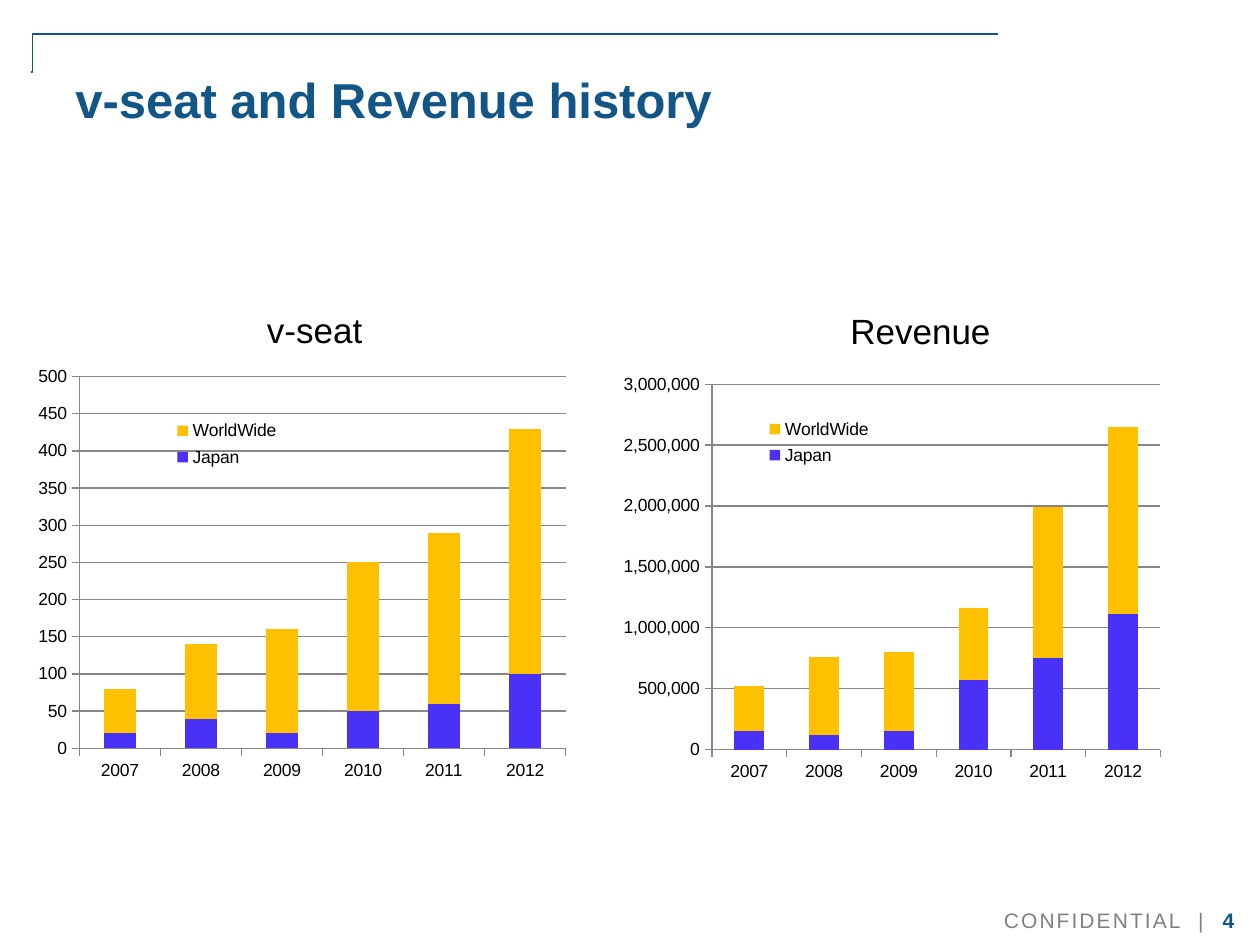
from lxml.etree import SubElement
from pptx import Presentation
from pptx.chart.data import CategoryChartData
from pptx.dml.color import RGBColor
from pptx.enum.chart import XL_CHART_TYPE, XL_LEGEND_POSITION, XL_TICK_MARK
from pptx.enum.shapes import MSO_CONNECTOR
from pptx.enum.text import MSO_ANCHOR, PP_ALIGN
from pptx.oxml import parse_xml
from pptx.oxml.ns import nsdecls, qn
from pptx.util import Inches, Pt

COLORS = {
    "brand": "125687",
    "muted": "808080",
    "text": "000000",
    "axis": "878787",
    "Japan": "4931F7",
    "WorldWide": "FFC000",
}
YEARS = ["2007", "2008", "2009", "2010", "2011", "2012"]


def color(name):
    return RGBColor.from_string(COLORS[name])


class SlideBuilder:
    """Holds the shared style and the slide being filled."""

    font_name = "Arial"

    def __init__(self, page):
        self.page = page

    def style_font(self, font, size, color_name, bold=False):
        font.name = self.font_name
        font.size = Pt(size)
        font.bold = bold
        font.color.rgb = color(color_name)

    def style_line(self, line, width=0.75, color_name="axis"):
        line.color.rgb = color(color_name)
        line.width = Pt(width)

    def text(self, area, spans, size, color_name, bold=False, wrap=True,
             align=PP_ALIGN.LEFT, anchor=MSO_ANCHOR.TOP):
        """Add one paragraph; spans are (text, letter spacing in points)."""
        box = self.page.shapes.add_textbox(*map(Inches, area))
        frame = box.text_frame
        frame.word_wrap = wrap
        frame.vertical_anchor = anchor
        paragraph = frame.paragraphs[0]
        paragraph.alignment = align
        self.style_font(paragraph.font, size, color_name, bold)
        for content, spacing in spans:
            span = paragraph.add_run()
            span.text = content
            if spacing:
                span.font._element.set("spc", str(round(spacing * 100)))

    def corner_line(self, start, end, bend):
        """Add an elbow whose bend is a share of its width in 1/100000."""
        line = self.page.shapes.add_connector(
            MSO_CONNECTOR.ELBOW, *map(Inches, start + end))
        self.style_line(line.line, 1, "brand")
        properties = line._element.spPr
        guides = properties.find(qn("a:prstGeom")).get_or_add_avLst()
        SubElement(guides, qn("a:gd"), name="adj1", fmla=f"val {bend}")
        SubElement(properties, qn("a:effectLst"))

    def layout(self, parent, frame, area, inner=False):
        """Place a chart part at an area given in slide inches."""
        left, top, width, height = frame
        shares = {
            "x": (area[0] - left) / width,
            "y": (area[1] - top) / height,
            "w": area[2] / width,
            "h": area[3] / height,
        }
        target = '<c:layoutTarget val="inner"/>' if inner else ""
        modes = "".join(f'<c:{axis}Mode val="edge"/>' for axis in "xy")
        values = "".join(f'<c:{key} val="{share:.4f}"/>' for key, share in shares.items())
        for old in parent.findall(qn("c:layout")):
            parent.remove(old)
        element = parse_xml(
            f'<c:layout {nsdecls("c")}><c:manualLayout>{target}{modes}{values}'
            "</c:manualLayout></c:layout>")
        if inner:
            parent.insert(0, element)
        else:
            parent.find(qn("c:legendPos")).addnext(element)

    def stacked_chart(self, frame, plot_area, legend_area, series, step, top, number_format):
        data = CategoryChartData(number_format=number_format)
        data.categories = YEARS
        for name, values in series.items():
            data.add_series(name, values)
        chart = self.page.shapes.add_chart(
            XL_CHART_TYPE.COLUMN_STACKED, *map(Inches, frame), data).chart
        chart.has_title = False
        self.style_font(chart.font, 10, "text")

        plot = chart.plots[0]
        plot.gap_width = 150
        plot.overlap = 100
        plot.vary_by_categories = False
        for column in plot.series:
            column.format.fill.solid()
            column.format.fill.fore_color.rgb = color(column.name)

        for axis in (chart.category_axis, chart.value_axis):
            axis.major_tick_mark = XL_TICK_MARK.OUTSIDE
            axis.minor_tick_mark = XL_TICK_MARK.NONE
            self.style_line(axis.format.line)
        values_axis = chart.value_axis
        values_axis.minimum_scale = 0
        values_axis.maximum_scale = top
        values_axis.major_unit = step
        values_axis.has_major_gridlines = True
        self.style_line(values_axis.major_gridlines.format.line)
        values_axis.tick_labels.number_format = number_format
        values_axis.tick_labels.number_format_is_linked = False

        chart.has_legend = True
        chart.legend.position = XL_LEGEND_POSITION.RIGHT
        chart.legend.include_in_layout = False
        self.layout(chart.legend._element, frame, legend_area)
        self.layout(chart._chartSpace.chart.plotArea, frame, plot_area, inner=True)


def main():
    deck = Presentation()
    deck.slide_width = Inches(10)
    deck.slide_height = Inches(7.5)
    slide = SlideBuilder(deck.slides.add_slide(deck.slide_layouts[6]))

    slide.corner_line((7.92, 0.27), (0.25, 0.57), 99900)
    slide.text((9.5, 7.09, 0.5, 0.42), [("4", 0)], 12, "brand", bold=True,
               align=PP_ALIGN.CENTER, anchor=MSO_ANCHOR.MIDDLE)
    slide.text((7.23, 7.15, 2.42, 0.3), [("CONFIDENTIAL", 1.2), ("  |", 1)], 12, "muted",
               align=PP_ALIGN.RIGHT)
    slide.text((0.5, 0.5, 8.83, 1.08), [("v-seat and Revenue history", 0)], 28, "brand",
               bold=True)

    slide.stacked_chart(
        (0.2, 2.85, 5.35, 3.42), (0.63, 2.99, 3.86, 2.95), (1.2, 3.29, 1.2, 0.47),
        {"Japan": [20, 40, 20, 50, 60, 100],
         "WorldWide": [60, 100, 140, 200, 230, 330]},
        50, 500, "0")
    slide.stacked_chart(
        (4.84, 2.91, 5.43, 3.36), (5.65, 3.05, 3.56, 2.9), (5.9, 3.28, 1.2, 0.46),
        {"Japan": [150000, 120000, 150000, 570000, 750000, 1110000],
         "WorldWide": [370000, 640000, 650000, 590000, 1240000, 1540000]},
        500000, 3000000, r"#,##0;\(#,##0\);0")

    slide.text((6.65, 2.41, 1.33, 0.44), [("Revenue", 0)], 20, "text", wrap=False)
    slide.text((2.02, 2.4, 0.96, 0.44), [("v-seat", 0)], 20, "text", wrap=False)
    deck.save("out.pptx")


if __name__ == "__main__":
    main()
